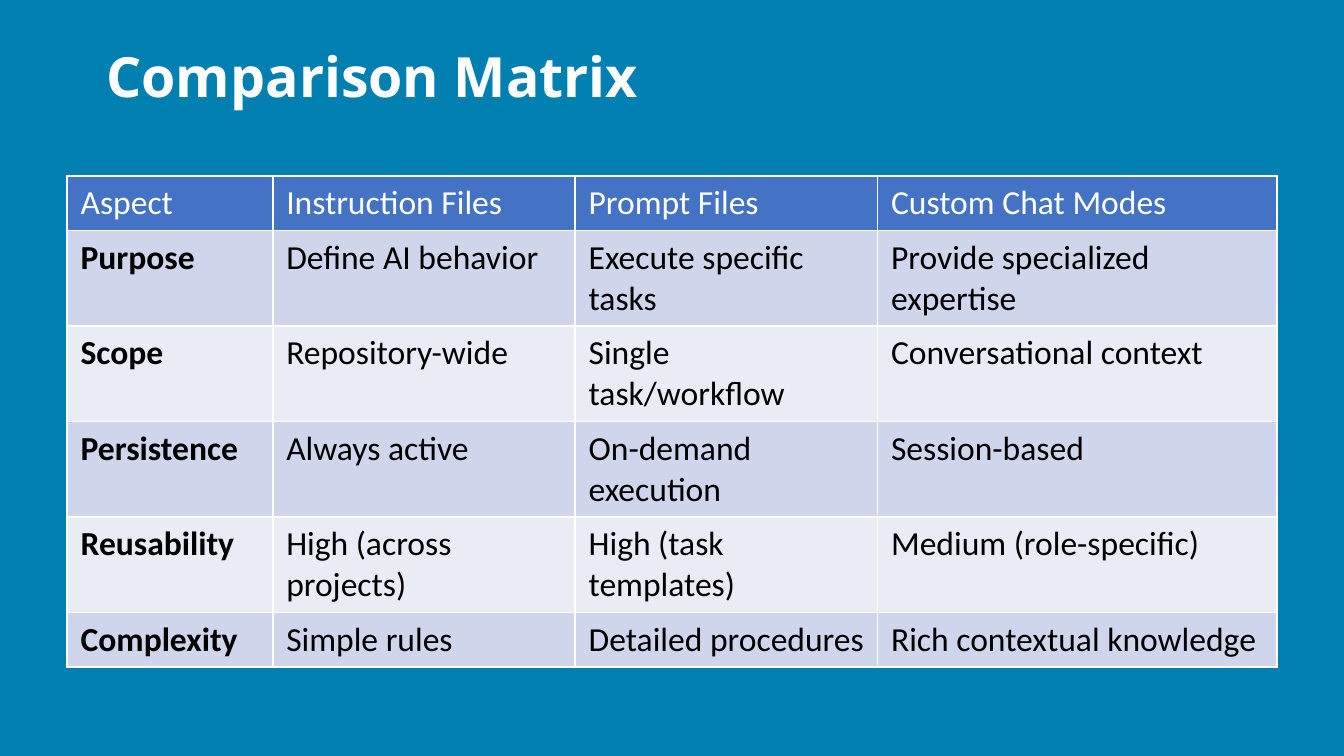
from lxml import etree
from pptx import Presentation
from pptx.dml.color import RGBColor
from pptx.enum import text
from pptx.oxml import ns
from pptx.util import Inches, Pt

COLORS = {
    "background": "007FB1",
    "header": "4472C4",
    "band_dark": "CFD5EA",
    "band_light": "E9EBF5",
    "white": "FFFFFF",
    "black": "000000",
}
ROWS = [
    ["Aspect", "Instruction Files", "Prompt Files", "Custom Chat Modes"],
    ["Purpose", "Define AI behavior", "Execute specific tasks", "Provide specialized expertise"],
    ["Scope", "Repository-wide", "Single task/workflow", "Conversational context"],
    ["Persistence", "Always active", "On-demand execution", "Session-based"],
    ["Reusability", "High (across projects)", "High (task templates)", "Medium (role-specific)"],
    ["Complexity", "Simple rules", "Detailed procedures", "Rich contextual knowledge"],
]
COL_WIDTHS = [1.53, 2.25, 2.25, 2.97]
ROW_HEIGHTS = [0.4, 0.71, 0.71, 0.71, 0.71, 0.4]


def rgb(name):
    return RGBColor.from_string(COLORS[name])


def add_borders(cell, color, width):
    """Line all four sides of a cell; call before setting its fill."""
    tc_pr = cell._tc.get_or_add_tcPr()
    for side in ("lnL", "lnR", "lnT", "lnB"):
        ln = etree.SubElement(tc_pr, ns.qn(f"a:{side}"), w=str(Pt(width)))
        fill = etree.SubElement(ln, ns.qn("a:solidFill"))
        etree.SubElement(fill, ns.qn("a:srgbClr"), val=COLORS[color])


prs = Presentation()
prs.slide_width = Inches(10)
prs.slide_height = prs.slide_width * 9 // 16
s = prs.slides.add_slide(prs.slide_layouts[5])
s.background.fill.solid()
s.background.fill.fore_color.rgb = rgb("background")

title = s.shapes.title
title.left, title.top = Inches(0.69), Inches(0.3)
title.width, title.height = Inches(7.32), Inches(0.58)
tf = title.text_frame
tf.text = "Comparison Matrix"
tf.auto_size = text.MSO_AUTO_SIZE.NONE
tf.vertical_anchor = text.MSO_ANCHOR.MIDDLE
p = tf.paragraphs[0]
p.alignment = text.PP_ALIGN.LEFT
p.line_spacing = 0.9
p.font.name, p.font.size, p.font.bold = "Noto Sans", Pt(29.7), True
p.font.color.rgb = rgb("white")

table = s.shapes.add_table(
    len(ROWS), len(COL_WIDTHS), Inches(0.5), Inches(1.31),
    Inches(sum(COL_WIDTHS)), Inches(sum(ROW_HEIGHTS)),
).table
for column, width in zip(table.columns, COL_WIDTHS):
    column.width = Inches(width)
for row, height in zip(table.rows, ROW_HEIGHTS):
    row.height = Inches(height)

for i, labels in enumerate(ROWS):
    is_header = i == 0
    fill = "header" if is_header else "band_dark" if i % 2 else "band_light"
    for j, label in enumerate(labels):
        cell = table.cell(i, j)
        add_borders(cell, "white", 1)
        cell.fill.solid()
        cell.fill.fore_color.rgb = rgb(fill)
        cell.text = label
        p = cell.text_frame.paragraphs[0]
        p.font.name, p.font.size = "Calibri", Pt(18)
        p.font.bold = j == 0 and not is_header
        p.font.color.rgb = rgb("white" if is_header else "black")

prs.save("out.pptx")
